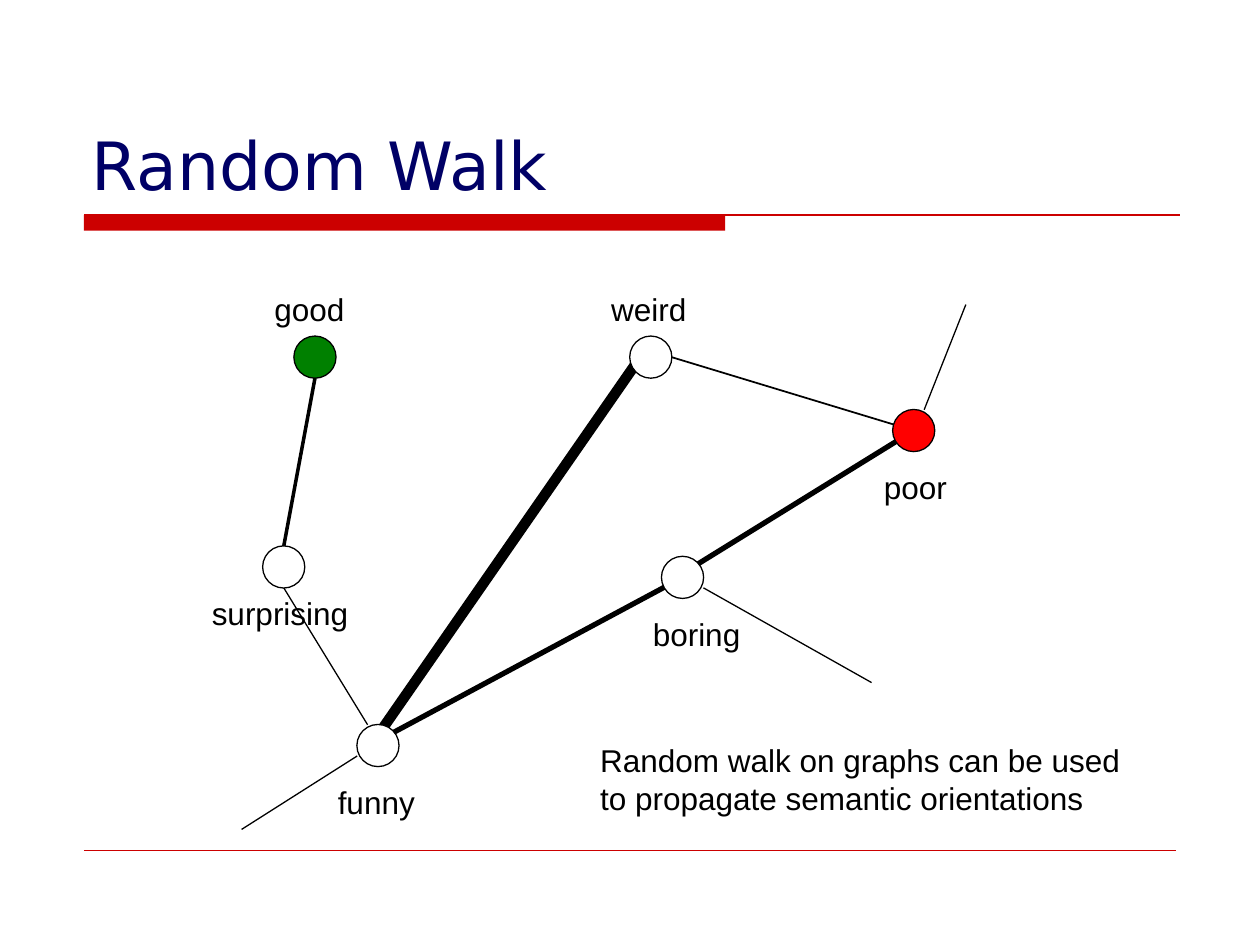
from pptx import Presentation
from pptx.dml.color import RGBColor
from pptx.enum.shapes import MSO_CONNECTOR, MSO_SHAPE
from pptx.enum.text import MSO_ANCHOR, MSO_AUTO_SIZE, PP_ALIGN
from pptx.oxml.ns import qn
from pptx.util import Cm, Pt

STRAIGHT = MSO_CONNECTOR.STRAIGHT
OVAL, RECTANGLE = MSO_SHAPE.OVAL, MSO_SHAPE.RECTANGLE
BOTTOM, LEFT = MSO_ANCHOR.BOTTOM, PP_ALIGN.LEFT
GROW = MSO_AUTO_SIZE.SHAPE_TO_FIT_TEXT

NAVY = RGBColor(0x00, 0x00, 0x66)
CRIMSON = RGBColor(0xCC, 0x00, 0x00)
BLACK = RGBColor(0x00, 0x00, 0x00)
WHITE = RGBColor(0xFF, 0xFF, 0xFF)
GREEN = RGBColor(0x00, 0x80, 0x00)
RED = RGBColor(0xFF, 0x00, 0x00)

DIAMETER = 0.85
LABEL_HEIGHT = 1.02

# word: (centre, fill, label offset from the centre, label width), in cm
NODES = {
    "good": ((2.35, 1.5), GREEN, (-1.07, -1.48), 1.95),
    "surprising": ((1.72, 5.73), WHITE, (-1.7, 0.43), 3.3),
    "weird": ((9.12, 1.5), WHITE, (-1.05, -1.48), 2.06),
    "funny": ((3.62, 9.33), WHITE, (-1.06, 0.64), 2.1),
    "boring": ((9.76, 5.94), WHITE, (-0.85, 0.63), 2.31),
    "poor": ((14.42, 2.98), RED, (-0.85, 0.64), 1.83),
}

# (word, offset from its centre), the same for the other end, width in pt
EDGES = [
    (("funny", (0.21, -0.21)), ("boring", (0, 0)), 3),
    (("poor", (0, 0)), ("weird", (0.42, 0)), 1),
    (("weird", (-0.21, 0)), ("funny", (0, -0.21)), 6),
    (("poor", (0, 0)), ("boring", (0.21, -0.21)), 3),
    (("good", (0, 0.42)), ("surprising", (0, -0.42)), 2),
    (("surprising", (0, 0.42)), ("funny", (-0.21, -0.42)), 0.75),
]

# (word, offset from its centre), open end
LOOSE_ENDS = [
    (("funny", (-0.42, 0.21)), (0.87, 11.02)),
    (("boring", (0.42, 0.21)), (13.57, 8.06)),
    (("poor", (0.21, -0.42)), (15.47, 0.44)),
]


def add_line(slide, start, end, width, color):
    line = slide.shapes.add_connector(STRAIGHT, *map(Cm, start + end))
    line.line.color.rgb = color
    line.line.width = Pt(width)
    sp_pr = line._element.spPr
    sp_pr.append(sp_pr.makeelement(qn("a:effectLst"), {}))


def add_text(slide, left, top, width, height, lines):
    box = slide.shapes.add_textbox(Cm(left), Cm(top), Cm(width), Cm(height))
    tf = box.text_frame
    tf.word_wrap = False
    tf.auto_size = GROW
    p = tf.paragraphs[0]
    for i, text in enumerate(lines):
        if i:
            p.add_line_break()
        r = p.add_run()
        r.text = text
        r.font.name, r.font.size = "Arial", Pt(18)
        r.font.color.rgb = BLACK


def add_header(slide, left, top, width, height):
    """Title with a thick and a thin rule below it."""
    title = slide.shapes.title
    title.left, title.top = Cm(left - 0.1), Cm(top)
    title.width, title.height = Cm(width + 0.12), Cm(height)
    tf = title.text_frame
    tf.vertical_anchor = BOTTOM
    p = tf.paragraphs[0]
    p.alignment = LEFT
    r = p.add_run()
    r.text = "Random Walk"
    r.font.name, r.font.size = "DejaVu Sans", Pt(38)
    r.font.color.rgb = NAVY

    rule_top = top + height + 0.11
    bar = slide.shapes.add_shape(
        RECTANGLE, Cm(left), Cm(rule_top), Cm(12.93), Cm(0.31))
    bar.shadow.inherit = False
    bar.fill.solid()
    bar.fill.fore_color.rgb = CRIMSON
    bar.line.fill.background()
    add_line(slide, (left, rule_top), (left + width, rule_top), 1, CRIMSON)


def add_word_graph(slide, left, top):
    def place(point):
        return left + point[0], top + point[1]

    def anchor(end):
        word, (dx, dy) = end
        x, y = place(NODES[word][0])
        return x + dx, y + dy

    for word, (_, _, offset, width) in NODES.items():
        add_text(slide, *anchor((word, offset)), width, LABEL_HEIGHT, [word])
    for start, end, width in EDGES:
        add_line(slide, anchor(start), anchor(end), width, BLACK)
    for start, end in LOOSE_ENDS:
        add_line(slide, anchor(start), place(end), 0.75, BLACK)
    for centre, fill, _, _ in NODES.values():
        x, y = place(centre)
        node = slide.shapes.add_shape(
            OVAL, Cm(x - DIAMETER / 2), Cm(y - DIAMETER / 2),
            Cm(DIAMETER), Cm(DIAMETER))
        node.shadow.inherit = False
        node.fill.solid()
        node.fill.fore_color.rgb = fill
        node.line.color.rgb = BLACK
        node.line.width = Pt(0.75)


def main():
    prs = Presentation()
    prs.slide_width, prs.slide_height = Cm(25.4), Cm(19.05)
    slide = prs.slides.add_slide(prs.slide_layouts[5])
    add_header(slide, 1.69, 0.84, 22.1, 3.39)
    add_line(slide, (1.69, 17.15), (23.7, 17.15), 0.25, CRIMSON)
    add_word_graph(slide, 4, 5.7)
    add_text(slide, 11.85, 14.82, 11, 1.78,
             ["Random walk on graphs can be used",
              "to propagate semantic orientations"])
    prs.save("out.pptx")


if __name__ == "__main__":
    main()
